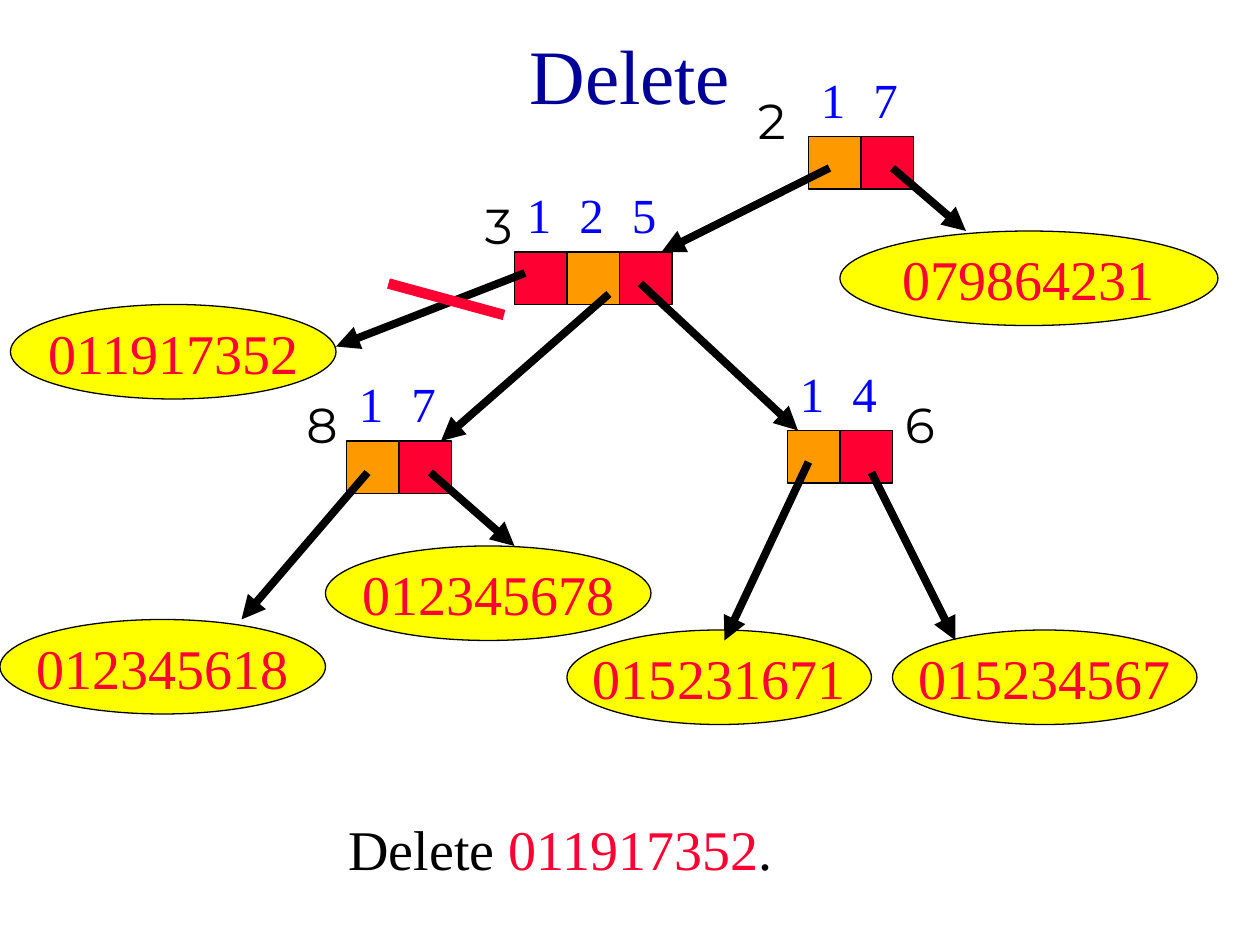
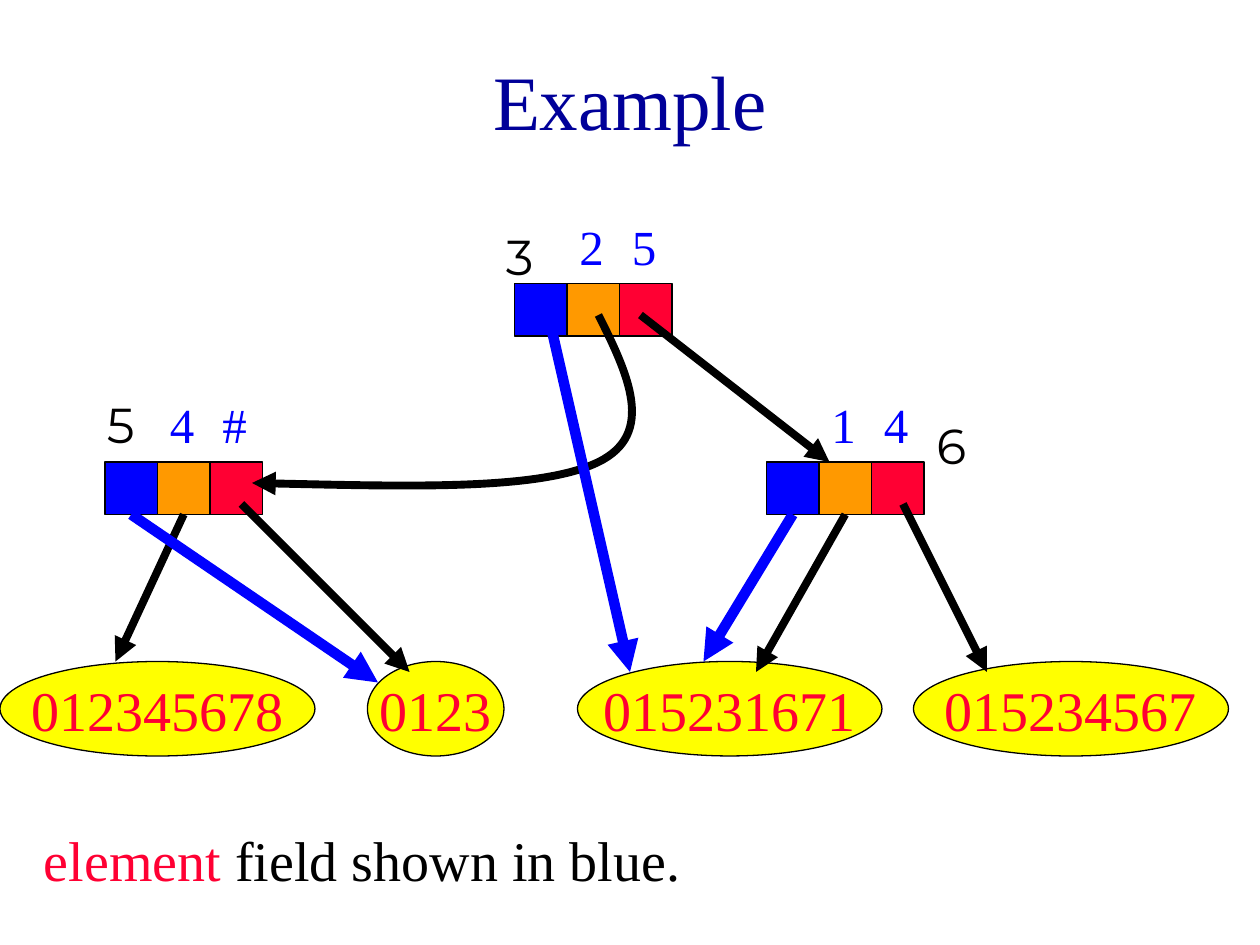
import pptx
import pptx.util
import pptx.dml.color
import pptx.enum.shapes
import pptx.enum.text
import pptx.oxml.ns
import lxml.etree

Pt = pptx.util.Pt
Kind = pptx.enum.shapes.MSO_SHAPE
Anchor = pptx.enum.text.MSO_ANCHOR
Align = pptx.enum.text.PP_ALIGN
rgb = pptx.dml.color.RGBColor.from_string
qn = pptx.oxml.ns.qn


class Theme:
    navy, blue = rgb("000099"), rgb("0000FF")
    red, orange, yellow = rgb("FF0033"), rgb("FF9900"), rgb("FFFF00")
    black, white, ink = rgb("000000"), rgb("FFFFFF"), rgb("010000")
    serif, sans = "Times New Roman", "Montserrat"
    title, body, label = Pt(44), Pt(32), Pt(28)
    thin, thick, bold = Pt(0.75), Pt(4.5), Pt(6)


UNIT = pptx.util.Cm(2.54) // 12  # the drawing grid: twelve steps to the inch
CELL = 5
FILLS = {"r": Theme.red, "o": Theme.orange, "b": Theme.blue}


def grid(*steps):
    return [int(step * UNIT) for step in steps]


def write(frame, runs, size, font=Theme.serif, align=Align.LEFT, anchor=Anchor.TOP):
    """Fill a text frame with one paragraph of (text, colour) runs."""
    frame.word_wrap = True
    frame.vertical_anchor = anchor
    para = frame.paragraphs[0]
    para.alignment = align
    for text, color in runs:
        run = para.add_run()
        run.text = text
        run.font.size, run.font.name = size, font
        run.font.color.rgb = color


# nodes: left, top, cell fills, branch keys, number, number's left and top
# leaves: left, top, width, text
# lines: from x, y to x, y
pages = [
    dict(
        title="Delete", depth=10,
        nodes=[(77, 13, "or", "17", "2", 71, 8),
               (49, 24, "ror", "125", "3", 45, 18),
               (33, 42, "or", "17", "8", 28, 37),
               (75, 41, "or", "14", "6", 85, 37)],
        leaves=[(80, 22, 36, "079864231"), (1, 29, 31, "011917352"),
                (31, 52, 31, "012345678"), (0, 59, 31, "012345618"),
                (54, 60, 29, "015231671"), (85, 60, 29, "015234567")],
        arrows=[(79, 16, 63, 24), (85, 16, 92, 22), (50, 26, 32, 33),
                (58, 28, 42, 42), (61, 27, 76, 41), (35, 45, 23, 59),
                (41, 45, 49, 52), (77, 44, 69, 61), (83, 45, 91, 61)],
        curves=[], links=[], strikes=[(37, 27, 48, 30)],
        note=(32, 77, 44, 9),
        runs=[("Delete ", Theme.black), ("011917352", Theme.red), (".", Theme.black)],
    ),
    dict(
        title="Example", depth=15,
        nodes=[(49, 27, "bor", " 25", "3", 47, 21),
               (10, 44, "bor", " 4#", "5", 9, 37),
               (73, 44, "bor", " 14", "6", 88, 39)],
        leaves=[(0, 63, 30, "012345678"), (35, 63, 13, "0123"),
                (55, 63, 29, "015231671"), (87, 63, 30, "015234567")],
        arrows=[(61, 30, 79, 44), (86, 48, 94, 64), (80, 49, 72, 64),
                (23, 48, 39, 64), (17, 49, 11, 63)],
        curves=[[(57, 30), (59.8, 35.6), (62.5, 41.3), (57, 44),
                 (51.5, 46.7), (37.8, 46.3), (24, 46)]],
        links=[(52, 29, 60, 64), (12, 49, 36, 65), (75, 49, 67, 63)],
        strikes=[],
        note=(3, 78, 82, 9),
        runs=[("element", Theme.red), (" field shown in blue.", Theme.black)],
    ),
]

deck = pptx.Presentation()
deck.slide_width, deck.slide_height = grid(120, 90)

for page in pages:
    slide = deck.slides.add_slide(deck.slide_layouts[5])
    shapes = slide.shapes
    title = shapes.title
    title.left, title.top, title.width, title.height = grid(9, 2, 102, page["depth"])
    write(title.text_frame, [(page["title"], Theme.navy)], Theme.title,
          align=Align.CENTER, anchor=Anchor.MIDDLE)

    note = shapes.add_shape(Kind.RECTANGLE, *grid(*page["note"]))
    note.shadow.inherit = False
    note.fill.solid()
    note.fill.fore_color.rgb = Theme.white
    note.line.fill.background()
    write(note.text_frame, page["runs"], Theme.body)

    # Tree nodes, keeping each cell by the grid point at its lower middle
    feet = {}
    for left, top, fills, keys, number, x, y in page["nodes"]:
        for i, (fill, key) in enumerate(zip(fills, keys)):
            side = left + i * CELL
            cell = shapes.add_shape(Kind.RECTANGLE, *grid(side, top, CELL, CELL))
            cell.shadow.inherit = False
            cell.fill.solid()
            cell.fill.fore_color.rgb = FILLS[fill]
            cell.line.color.rgb, cell.line.width = Theme.black, Theme.thin
            feet[side + CELL // 2, top + CELL] = cell
            if key != " ":
                box = shapes.add_textbox(*grid(side, top - 7, 4.2, 7))
                write(box.text_frame, [(key, Theme.blue)], Theme.label)
        box = shapes.add_textbox(*grid(x, y, 8, 7))
        write(box.text_frame, [(number, Theme.ink)], Theme.label, Theme.sans)

    for left, top, width, text in page["leaves"]:
        leaf = shapes.add_shape(Kind.OVAL, *grid(left, top, width, 9))
        leaf.shadow.inherit = False
        leaf.fill.solid()
        leaf.fill.fore_color.rgb = Theme.yellow
        leaf.line.color.rgb, leaf.line.width = Theme.black, Theme.thin
        write(leaf.text_frame, [(text, Theme.red)], Theme.body,
              align=Align.CENTER, anchor=Anchor.MIDDLE)
        leaf.text_frame.word_wrap = False

    strokes = []
    for points in page["curves"]:
        first, *rest = [grid(*point) for point in points]
        pen = shapes.build_freeform(*first)
        pen.add_line_segments(rest, close=False)
        curve = pen.convert_to_shape()
        curve.fill.background()
        # Each three straight steps become one Bezier step
        steps = list(curve._element.iter(qn("a:lnTo")))
        for i in range(0, len(steps), 3):
            bend = lxml.etree.Element(qn("a:cubicBezTo"))
            steps[i].addprevious(bend)
            for step in steps[i:i + 3]:
                bend.append(step[0])
                step.getparent().remove(step)
        strokes.append((curve, Theme.black, Theme.thick, True))

    for name, color, width, head in [("arrows", Theme.black, Theme.thick, True),
                                     ("links", Theme.blue, Theme.bold, True),
                                     ("strikes", Theme.red, Theme.bold, False)]:
        for ends in page[name]:
            line = shapes.add_connector(pptx.enum.shapes.MSO_CONNECTOR.STRAIGHT, *grid(*ends))
            if ends[:2] in feet:
                line.begin_connect(feet[ends[:2]], 2)
            strokes.append((line, color, width, head))

    for line, color, width, head in strokes:
        line.line.color.rgb, line.line.width = color, width
        props = line._element.spPr
        if head:
            lxml.etree.SubElement(props.get_or_add_ln(), qn("a:tailEnd"), type="triangle")
        lxml.etree.SubElement(props, qn("a:effectLst"))

deck.save("out.pptx")
